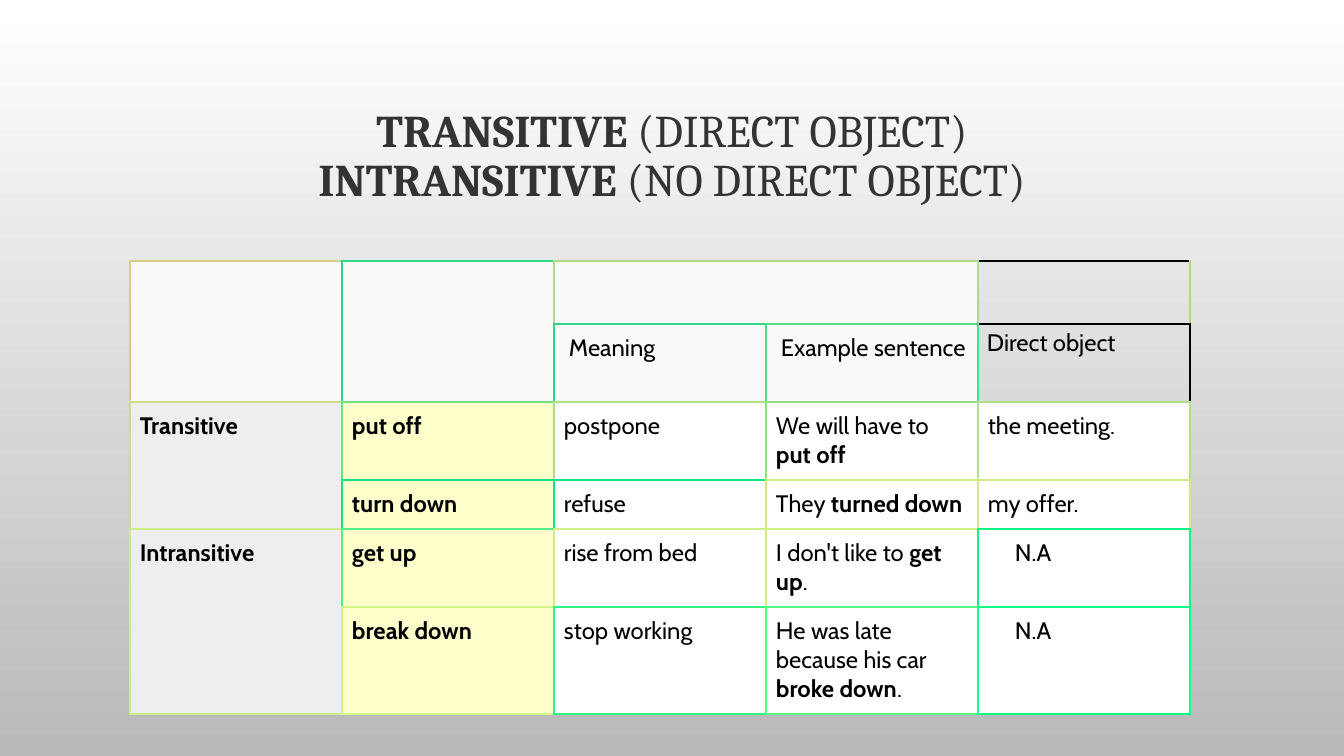
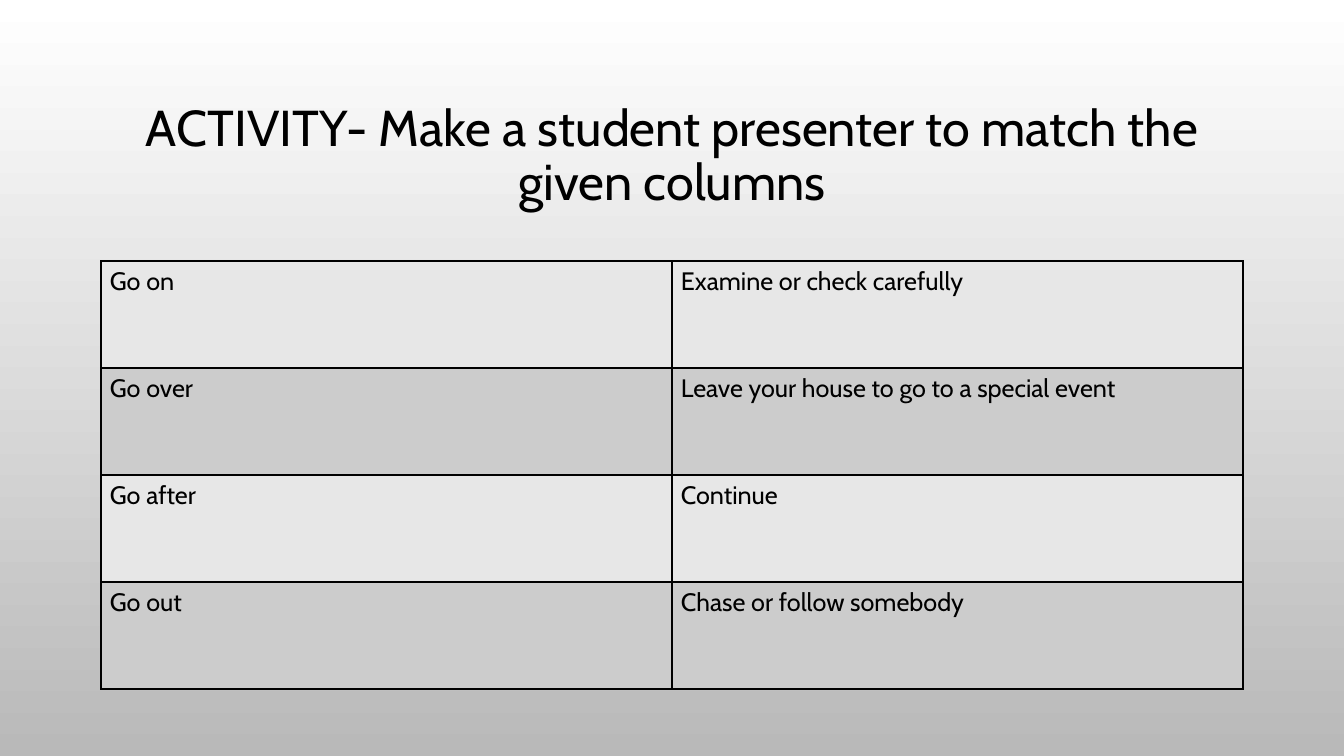
from lxml import etree
from pptx import Presentation
from pptx import util as u
from pptx.dml.color import RGBColor
from pptx.enum import text
from pptx.oxml.ns import qn

PX = 12192000 / 1344
BLACK = RGBColor(0x00, 0x00, 0x00)
WHITE = RGBColor(0xFF, 0xFF, 0xFF)
CHARCOAL = RGBColor(0x33, 0x33, 0x33)
BACKDROP_GREY = RGBColor(0xB9, 0xB9, 0xB9)
HEADER_GREY = RGBColor(0xF9, 0xF9, 0xF9)
GROUP_GREY = RGBColor(0xEE, 0xEE, 0xEE)
VERB_YELLOW = RGBColor(0xFF, 0xFF, 0xCC)
LIGHT_BAND = RGBColor(0xE7, 0xE7, 0xE7)
DARK_BAND = RGBColor(0xCC, 0xCC, 0xCC)
VERB_BORDERS = [[RGBColor.from_string(code) for code in line.split()] for line in (
    "D0D086 30D685 B0D885 B0D885 000000",
    "D0D086 30D685 30D685 50DB85 000000",
    "D0DB85 70DF85 B0E085 90E285 B0E185",
    "D0DB85 10E385 10E585 D0E985 D0E885",
    "D0ED85 50F085 D0EE85 D0F085 10F285",
    "D0ED85 D0F785 30F585 50FC85 10FD85",
)]


def px(length):
    return u.Emu(round(length * PX))


def write(frame, content, size, font="Cabin", color=BLACK, align=text.PP_ALIGN.LEFT, spacing=1.0):
    frame.word_wrap = True
    for index, line in enumerate(content.split("\n")):
        paragraph = frame.paragraphs[0] if index == 0 else frame.add_paragraph()
        paragraph.alignment = align
        paragraph.line_spacing = spacing
        for position, part in enumerate(line.split("*")):
            if part:
                run = paragraph.add_run()
                run.text = part
                run.font.size = u.Pt(size)
                run.font.name = font
                run.font.bold = position % 2 == 1
                run.font.color.rgb = color


verb_fills = [[HEADER_GREY] * 4 + [None]] * 2 + [[GROUP_GREY, VERB_YELLOW] + [WHITE] * 3] * 4
pages = [
    {
        "title": "*TRANSITIVE* (DIRECT OBJECT)\n*INTRANSITIVE* (NO DIRECT OBJECT)",
        "title_format": {"size": 32.4, "font": "Cambria", "color": CHARCOAL},
        "left": 130, "column": 212, "heights": [63, 78, 78, 49, 78, 107], "size": 17,
        "cells": [
            ["", "", "", "", ""],
            ["", "", "Meaning", "Example sentence", "Direct object"],
            ["*Transitive*", "*put off*", "postpone", "We will have to *put off*", "the meeting."],
            ["", "*turn down*", "refuse", "They *turned down*", "my offer."],
            ["*Intransitive*", "*get up*", "rise from bed", "I don't like to *get up*.", "N.A"],
            ["", "*break down*", "stop working", "He was late because his car *broke down*.", "N.A"],
        ],
        "fills": verb_fills,
        "borders": VERB_BORDERS,
        "merges": [(0, 0, 1, 0), (0, 1, 1, 1), (0, 2, 0, 3), (2, 0, 3, 0), (4, 0, 5, 0)],
        "indents": {(1, 2): 5, (1, 3): 5, (4, 4): 27, (5, 4): 27},
        "right_edges": {(0, 4): VERB_BORDERS[0][3]},
    },
    {
        "title": "ACTIVITY- Make a student presenter to match the given columns",
        "title_format": {"size": 36},
        "left": 101, "column": 571, "heights": [107] * 4, "size": 18,
        "cells": [
            ["Go on", "Examine or check carefully"],
            ["Go over", "Leave your house to go to a special event"],
            ["Go after", "Continue"],
            ["Go out", "Chase or follow somebody"],
        ],
        "fills": [[LIGHT_BAND] * 2, [DARK_BAND] * 2] * 2,
        "borders": [[BLACK] * 2] * 4,
        "merges": [],
        "indents": {},
        "right_edges": {},
    },
]

presentation = Presentation()
presentation.slide_width = px(1344)
presentation.slide_height = px(756)

for page in pages:
    slide = presentation.slides.add_slide(presentation.slide_layouts[6])
    backdrop = slide.background.fill
    backdrop.gradient()
    backdrop.gradient_angle = 270
    for stop, color, position in zip(backdrop.gradient_stops, (WHITE, BACKDROP_GREY), (0, 1)):
        stop.color.rgb = color
        stop.position = position

    title = slide.shapes.add_textbox(px(101), px(69), px(1142), px(176))
    title.text_frame.vertical_anchor = text.MSO_ANCHOR.MIDDLE
    write(title.text_frame, page["title"], align=text.PP_ALIGN.CENTER, spacing=0.9, **page["title_format"])

    heights, borders = page["heights"], page["borders"]
    row_count, column_count = len(heights), len(borders[0])
    table = slide.shapes.add_table(
        row_count, column_count, px(page["left"]), px(261),
        px(page["column"] * column_count), px(sum(heights))).table
    table.first_row = False
    table.horz_banding = False
    for column in table.columns:
        column.width = px(page["column"])
    for row, height in zip(table.rows, heights):
        row.height = px(height)
    for top, left, bottom, right in page["merges"]:
        table.cell(top, left).merge(table.cell(bottom, right))

    for r in range(row_count):
        for c in range(column_count):
            cell = table.cell(r, c)
            own = borders[r][c]
            last_column, last_row = c == column_count - 1, r == row_count - 1
            beside = own if last_column else borders[r][c + 1]
            if beside == BLACK:
                beside = own
            edges = {
                "L": borders[r][c - 1] if own == BLACK and c else own,
                "R": page["right_edges"].get((r, c), beside),
                "T": own,
                "B": own if last_row else borders[r + 1][c],
            }
            properties = cell._tc.get_or_add_tcPr()
            for side, color in edges.items():
                width = u.Pt(1 if color == BLACK else 1.5)
                line = etree.SubElement(properties, qn("a:ln" + side), w=str(width))
                solid = etree.SubElement(line, qn("a:solidFill"))
                etree.SubElement(solid, qn("a:srgbClr"), val=str(color))

            fill = page["fills"][r][c]
            if fill is None:
                cell.fill.background()
            else:
                cell.fill.solid()
                cell.fill.fore_color.rgb = fill
            side_margin, end_margin = (9, 5) if own == BLACK else (10, 10)
            cell.margin_left = px(side_margin + page["indents"].get((r, c), 0))
            cell.margin_right = px(side_margin)
            cell.margin_top = cell.margin_bottom = px(end_margin)
            if page["cells"][r][c]:
                write(cell.text_frame, page["cells"][r][c], page["size"])

presentation.save("out.pptx")
